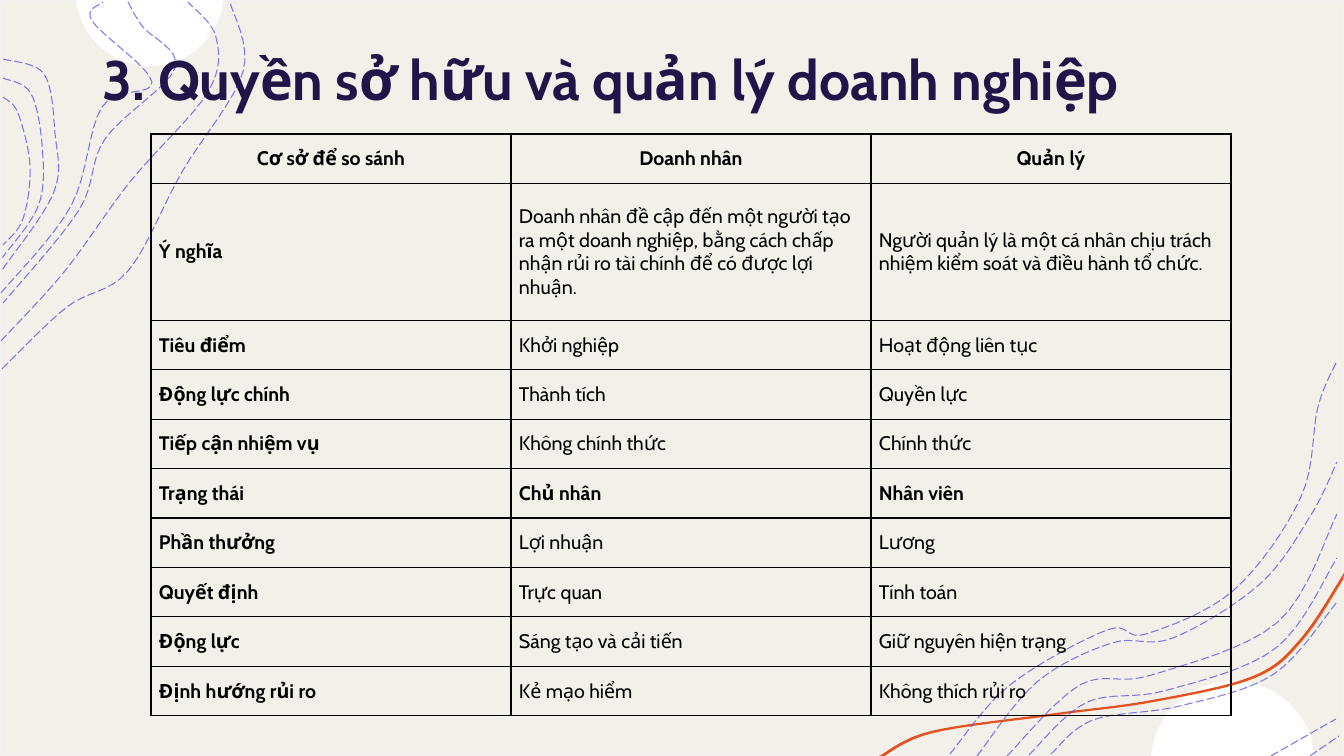
"""Build a slide comparing entrepreneurs and managers in a bordered table."""
from dataclasses import dataclass
from math import acos, cos, pi, sin

from lxml import etree
from pptx import Presentation
from pptx.dml.color import RGBColor
from pptx.enum.dml import MSO_LINE
from pptx.enum.shapes import MSO_SHAPE
from pptx.enum.text import MSO_ANCHOR, PP_ALIGN
from pptx.oxml.ns import qn
from pptx.util import Emu, Pt

RECTANGLE = MSO_SHAPE.RECTANGLE
LONG_DASH = MSO_LINE.LONG_DASH
TOP, MIDDLE = MSO_ANCHOR.TOP, MSO_ANCHOR.MIDDLE
LEFT, CENTER = PP_ALIGN.LEFT, PP_ALIGN.CENTER

TITLE = "3. Quyền sở hữu và quản lý doanh nghiệp"
ROWS = [
    ("Cơ sở để so sánh", "Doanh nhân", "Quản lý"),
    ("Ý nghĩa",
     "Doanh nhân đề cập đến một người tạo ra một doanh nghiệp, bằng cách chấp "
     "nhận rủi ro tài chính để có được lợi nhuận.",
     "Người quản lý là một cá nhân chịu trách nhiệm kiểm soát và điều hành tổ chức."),
    ("Tiêu điểm", "Khởi nghiệp", "Hoạt động liên tục"),
    ("Động lực chính", "Thành tích", "Quyền lực"),
    ("Tiếp cận nhiệm vụ", "Không chính thức", "Chính thức"),
    ("Trạng thái", "Chủ nhân", "Nhân viên"),
    ("Phần thưởng", "Lợi nhuận", "Lương"),
    ("Quyết định", "Trực quan", "Tính toán"),
    ("Động lực", "Sáng tạo và cải tiến", "Giữ nguyên hiện trạng"),
    ("Định hướng rủi ro", "Kẻ mạo hiểm", "Không thích rủi ro"),
]
HEADER_ROW, MEANING_ROW, STATUS_ROW = 0, 1, 5

WIDTH, HEIGHT = 1344, 756
TITLE_BOX = (93, 40, 1190, 146)
TABLE_LEFT, TABLE_TOP, TABLE_HEIGHT = 151, 134, 582
COLUMN_WIDTH, MEANING_HEIGHT, CELL_MARGIN = 360, 137, 8

CAPS = [((150, -8), 74, 0), ((1233, 763), 82, HEIGHT)]
RIBBON_SHIFT = 2
RIBBON = [(879, 756), (931, 731), (1056, 713), (1152, 700), (1253, 676),
          (1301, 638), (1344, 573)]
SINGLE_CONTOURS = [
    [(2, 369), (67, 307), (128, 271), (182, 172), (243, 72), (230, 2)],
    [(1, 341), (65, 271), (130, 182), (208, 92), (216, 37), (188, 2)],
    [(128, 2), (142, 26), (175, 68), (105, 139), (79, 210), (3, 303)],
    [(1, 293), (71, 206), (102, 107), (152, 82), (92, 21), (103, 2)],
    [(950, 754), (1010, 685), (1107, 630), (1146, 634), (1234, 590), (1301, 497),
     (1318, 407), (1337, 361)],
    [(977, 756), (1037, 682), (1112, 643), (1173, 638), (1260, 584), (1311, 515),
     (1337, 462)],
    [(1310, 756), (1339, 736)],
    [(1271, 756), (1336, 719)],
]
NESTED_CONTOURS = [
    ([(3, 59), (44, 74), (55, 133), (54, 192), (2, 270)],
     [(3, 97), (18, 113), (30, 166), (23, 219), (3, 245)]),
    ([(1051, 754), (1093, 720), (1180, 706), (1274, 674), (1337, 602)],
     [(1007, 756), (1080, 685), (1152, 675), (1278, 622), (1337, 514)]),
]


@dataclass(frozen=True)
class Theme:
    font: str = "Cabin"
    paper: str = "F3F0E9"
    paper_edge: str = "F2F2F2"
    cap: str = "FFFFFF"
    ribbon: str = "E45221"
    contour: str = "4D4EE6"
    title: str = "201449"
    ink: str = "000000"
    title_size: float = 39.6
    cell_size: float = 14
    contour_width: float = 0.75
    border_width: float = 1
    contour_alpha: int = 75


THEME = Theme()


def px(length):
    return Emu(round(length * 12192000 / WIDTH))


def rgb(code):
    return RGBColor.from_string(code)


def smooth(anchors, steps=8):
    padded = [anchors[0], *anchors, anchors[-1]]
    points = [anchors[0]]
    for a, b, c, d in zip(padded, padded[1:], padded[2:], padded[3:]):
        for step in range(1, steps + 1):
            t = step / steps
            points.append(tuple(
                q + t * (r - p) / 2 + t**2 * (2*p - 5*q + 4*r - s) / 2
                + t**3 * (3*q - p - 3*r + s) / 2
                for p, q, r, s in zip(a, b, c, d)))
    return points


def midway(outer, inner):
    return [((a + c) / 2, (b + d) / 2) for (a, b), (c, d) in zip(outer, inner)]


def cap_outline(center, radius, edge, steps=48):
    x, y = center
    side = 1 if edge == 0 else -1
    half = acos((edge - y) * side / radius)
    angles = [side * pi / 2 - half + 2 * half * i / steps for i in range(steps + 1)]
    return [(x + radius * cos(angle), y + radius * sin(angle)) for angle in angles]


def add_outline(page, points, closed):
    corners = [(px(x), px(y)) for x, y in points]
    builder = page.shapes.build_freeform(*corners[0])
    builder.add_line_segments(corners[1:], close=closed)
    shape = builder.convert_to_shape()
    shape.shadow.inherit = False
    return shape


def add_filled(page, points, color):
    shape = add_outline(page, points, True)
    shape.fill.solid()
    shape.fill.fore_color.rgb = rgb(color)
    shape.line.fill.background()


def add_contour(page, anchors):
    shape = add_outline(page, smooth(anchors), False)
    shape.fill.background()
    shape.line.color.rgb = rgb(THEME.contour)
    shape.line.width = Pt(THEME.contour_width)
    shape.line.dash_style = LONG_DASH
    color = shape.line._get_or_add_ln().find(".//" + qn("a:srgbClr"))
    etree.SubElement(color, qn("a:alpha"), val=str(THEME.contour_alpha * 1000))


def add_backdrop(page):
    paper = page.shapes.add_shape(RECTANGLE, 0, 0, px(WIDTH), px(HEIGHT))
    paper.shadow.inherit = False
    paper.fill.solid()
    paper.fill.fore_color.rgb = rgb(THEME.paper)
    paper.line.color.rgb = rgb(THEME.paper_edge)
    paper.line.width = Pt(1)
    for cap in CAPS:
        add_filled(page, cap_outline(*cap), THEME.cap)
    upper = smooth(RIBBON)
    lower = [(min(x + RIBBON_SHIFT, WIDTH), min(y + RIBBON_SHIFT, HEIGHT)) for x, y in upper]
    add_filled(page, upper + lower[::-1], THEME.ribbon)
    for anchors in SINGLE_CONTOURS:
        add_contour(page, anchors)
    for outer, inner in NESTED_CONTOURS:
        for anchors in (outer, midway(outer, inner), inner):
            add_contour(page, anchors)


def write(frame, text, size, color, bold, align=LEFT):
    frame.word_wrap = True
    para = frame.paragraphs[0]
    para.alignment = align
    span = para.add_run()
    span.text = text
    span.font.name = THEME.font
    span.font.size = Pt(size)
    span.font.bold = bold
    span.font.color.rgb = rgb(color)


def add_borders(cell):
    properties = cell._tc.get_or_add_tcPr()
    for side in ("lnL", "lnR", "lnT", "lnB"):
        line = etree.SubElement(properties, qn(f"a:{side}"), w=str(Pt(THEME.border_width)))
        fill = etree.SubElement(line, qn("a:solidFill"))
        etree.SubElement(fill, qn("a:srgbClr"), val=THEME.ink)


def add_comparison(page):
    columns = len(ROWS[0])
    table = page.shapes.add_table(
        len(ROWS), columns, px(TABLE_LEFT), px(TABLE_TOP),
        px(COLUMN_WIDTH * columns), px(TABLE_HEIGHT)).table
    table.first_row = table.horz_banding = False
    for column in table.columns:
        column.width = px(COLUMN_WIDTH)
    row_height = (TABLE_HEIGHT - MEANING_HEIGHT) / (len(ROWS) - 1)
    for r, texts in enumerate(ROWS):
        table.rows[r].height = px(MEANING_HEIGHT if r == MEANING_ROW else row_height)
        for c, text in enumerate(texts):
            cell = table.cell(r, c)
            add_borders(cell)
            cell.fill.background()
            cell.vertical_anchor = MIDDLE
            cell.margin_left = cell.margin_right = px(CELL_MARGIN)
            cell.margin_top = cell.margin_bottom = px(CELL_MARGIN)
            bold = c == 0 or r in (HEADER_ROW, STATUS_ROW)
            align = CENTER if r == HEADER_ROW else LEFT
            write(cell.text_frame, text, THEME.cell_size, THEME.ink, bold, align)


def main():
    deck = Presentation()
    deck.slide_width, deck.slide_height = px(WIDTH), px(HEIGHT)
    page = deck.slides.add_slide(deck.slide_layouts[6])
    add_backdrop(page)
    box = page.shapes.add_textbox(*map(px, TITLE_BOX))
    box.text_frame.vertical_anchor = TOP
    write(box.text_frame, TITLE, THEME.title_size, THEME.title, True)
    add_comparison(page)
    deck.save("out.pptx")


if __name__ == "__main__":
    main()
